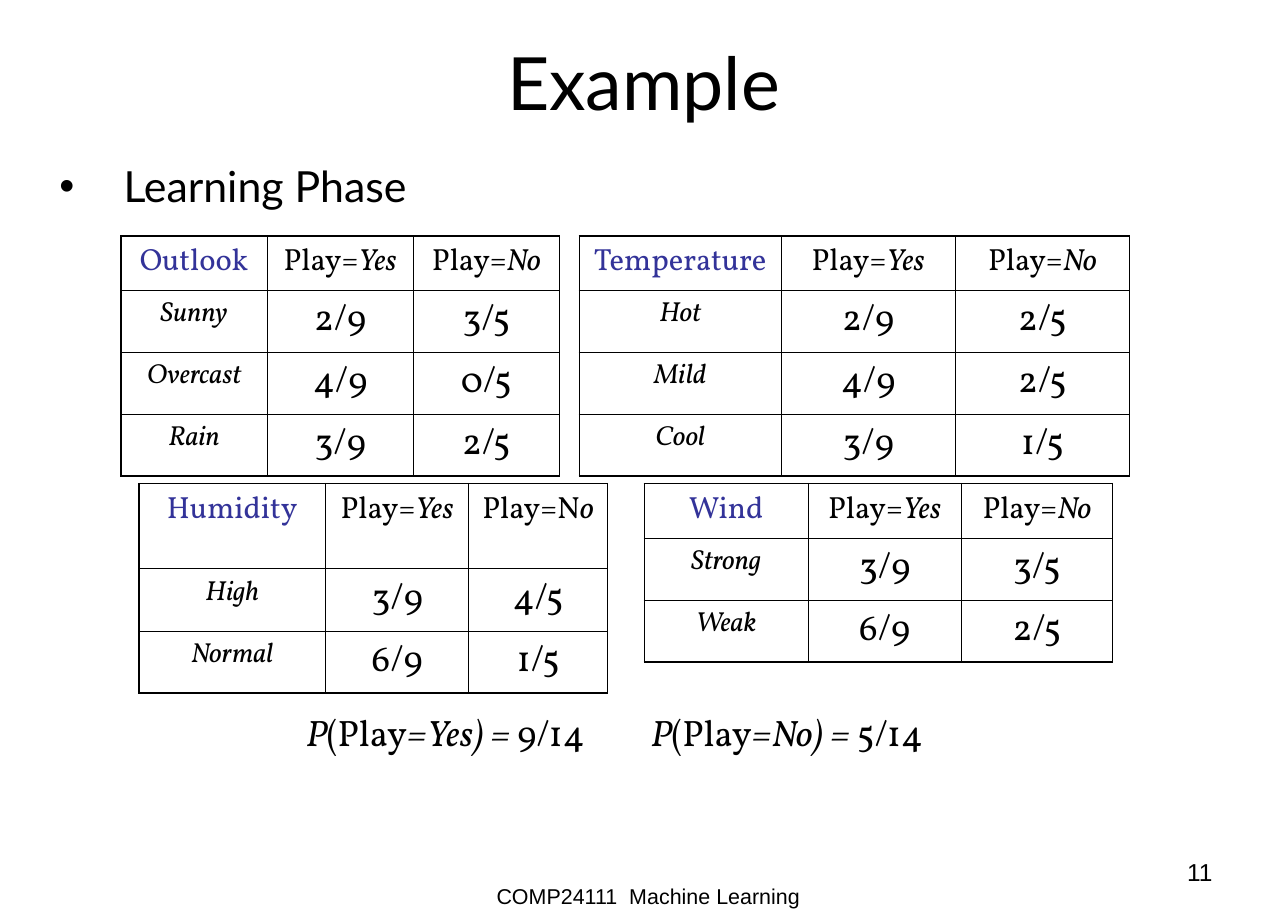
from dataclasses import dataclass

from lxml import etree
from pptx import Presentation
from pptx.dml.color import RGBColor
from pptx.enum.text import MSO_ANCHOR, MSO_AUTO_SIZE, PP_ALIGN
from pptx.oxml.ns import qn
from pptx.util import Cm, Pt

LEFT, CENTER, RIGHT = PP_ALIGN.LEFT, PP_ALIGN.CENTER, PP_ALIGN.RIGHT
MIDDLE, TOP = MSO_ANCHOR.MIDDLE, MSO_ANCHOR.TOP
NO_FIT = MSO_AUTO_SIZE.NONE
COLORS = {"text": "000000", "attribute": "333399"}
OUTER, INNER = 1.08, 0.45
ROW_HEIGHT = 1.27


@dataclass
class FrequencyTable:
    left: float
    top: float
    widths: tuple[float, ...]
    header_height: float
    rows: list[tuple[str, str, str]]


@dataclass
class Label:
    left: float
    top: float
    width: float
    height: float
    text: str
    size: float
    font: str
    align: PP_ALIGN = LEFT
    wrap: bool = False


TABLES = [
    FrequencyTable(2.79, 5.44, (3.37, 3.37, 3.37), 1.12, [
        ("Outlook", "Play=_Yes_", "Play=_No_"),
        ("_Sunny_", "2/9", "3/5"),
        ("_Overcast_", "4/9", "0/5"),
        ("_Rain_", "3/9", "2/5"),
    ]),
    FrequencyTable(13.36, 5.44, (4.65, 4.02, 4.02), 1.12, [
        ("Temperature", "Play=_Yes_", "Play=_No_"),
        ("_Hot_", "2/9", "2/5"),
        ("_Mild_", "4/9", "2/5"),
        ("_Cool_", "3/9", "1/5"),
    ]),
    FrequencyTable(3.2, 11.15, (4.31, 3.3, 3.2), 1.96, [
        ("Humidity", "Play=_Yes_", "Play=N_o_"),
        ("_High_", "3/9", "4/5"),
        ("_Normal_", "6/9", "1/5"),
    ]),
    FrequencyTable(14.86, 11.15, (3.77, 3.54, 3.48), 1.25, [
        ("Wind", "Play=_Yes_", "Play=_No_"),
        ("_Strong_", "3/9", "3/5"),
        ("_Weak_", "6/9", "2/5"),
    ]),
]

LABELS = [
    Label(11.2, 20.24, 7.57, 0.86, "COMP24111  Machine Learning", 14, "Arial"),
    Label(21.28, 19.63, 6.93, 1.45, "11", 16, "Arial", RIGHT, True),
    Label(6.81, 16.23, 7.7, 1.27, "_P_(Play_=Yes) = _9/14", 24, "Vollkorn"),
    Label(14.76, 16.23, 7.49, 1.27, "_P_(Play_=No) = _5/14", 24, "Vollkorn"),
]


def write(tf, text: str, *, size: float, font: str, color: str = "text",
          align: PP_ALIGN = LEFT, before: float = 0, spacing: float = 1.0):
    """Write text in which underscores enclose the italic parts."""
    p = tf.paragraphs[0]
    p.alignment, p.space_before, p.line_spacing = align, Pt(before), spacing
    for i, part in enumerate(text.split("_")):
        if part:
            r = p.add_run()
            r.text = part
            r.font.name, r.font.size = font, Pt(size)
            r.font.italic = i % 2 == 1
            r.font.color.rgb = RGBColor.from_string(COLORS[color])
    return p


def place(sp, left: float, top: float, width: float, height: float) -> None:
    sp.left, sp.top, sp.width, sp.height = Cm(left), Cm(top), Cm(width), Cm(height)


def set_insets(tf, right: float = 0.28) -> None:
    tf.margin_left, tf.margin_right = Cm(0.28), Cm(right)
    tf.margin_top = tf.margin_bottom = Cm(0.15)
    tf.auto_size = NO_FIT


def add_title(sp) -> None:
    place(sp, 1.3, 0.13, 28.4, 3.5)
    tf = sp.text_frame
    set_insets(tf, right=1.6)
    tf.vertical_anchor = MIDDLE
    write(tf, "Example", size=48, font="Lato", align=CENTER)


def add_body(sp) -> None:
    place(sp, 1.09, 3.3, 28.14, 16.08)
    tf = sp.text_frame
    set_insets(tf)
    tf.vertical_anchor = TOP
    p = write(tf, "Learning Phase", size=28, font="Lato", before=7, spacing=1.2)
    pPr = p._p.get_or_add_pPr()
    pPr.set("marL", str(Cm(1.48)))
    pPr.set("indent", str(-Cm(1.48)))
    etree.SubElement(pPr, qn("a:buChar")).set("char", "•")


def add_label(slide, label: Label) -> None:
    sp = slide.shapes.add_textbox(
        Cm(label.left), Cm(label.top), Cm(label.width), Cm(label.height))
    tf = sp.text_frame
    tf.word_wrap = label.wrap
    write(tf, label.text, size=label.size, font=label.font, align=label.align)


def set_borders(cell, **widths: float) -> None:
    tcPr = cell._tc.get_or_add_tcPr()
    for side, width in widths.items():
        ln = etree.SubElement(tcPr, qn(f"a:ln{side}"), w=str(Pt(width)))
        fill = etree.SubElement(ln, qn("a:solidFill"))
        etree.SubElement(fill, qn("a:srgbClr"), val=COLORS["text"])


def add_frequency_table(slide, data: FrequencyTable) -> None:
    n_rows, n_cols = len(data.rows), len(data.widths)
    heights = [data.header_height] + [ROW_HEIGHT] * (n_rows - 1)
    table = slide.shapes.add_table(
        n_rows, n_cols, Cm(data.left), Cm(data.top),
        Cm(sum(data.widths)), Cm(sum(heights))).table
    table.first_row = table.horz_banding = False
    for column, width in zip(table.columns, data.widths):
        column.width = Cm(width)
    for i, (row, height) in enumerate(zip(data.rows, heights)):
        table.rows[i].height = Cm(height)
        for j, text in enumerate(row):
            cell = table.cell(i, j)
            size = 20 if i == 0 else 18 if j == 0 else 24
            color = "attribute" if i == j == 0 else "text"
            write(cell.text_frame, text, size=size, font="Vollkorn",
                  color=color, align=CENTER, before=size / 4)
            set_borders(cell,
                        L=OUTER if j == 0 else INNER,
                        R=OUTER if j == n_cols - 1 else INNER,
                        T=OUTER if i == 0 else INNER,
                        B=OUTER if i == n_rows - 1 else INNER)
            cell.fill.background()


def main() -> None:
    prs = Presentation()
    prs.slide_width, prs.slide_height = Cm(29.7), Cm(21)
    slide = prs.slides.add_slide(prs.slide_layouts[1])
    add_title(slide.shapes.title)
    add_body(slide.placeholders[1])
    for data in TABLES:
        add_frequency_table(slide, data)
    for label in LABELS:
        add_label(slide, label)
    prs.save("out.pptx")


if __name__ == "__main__":
    main()
